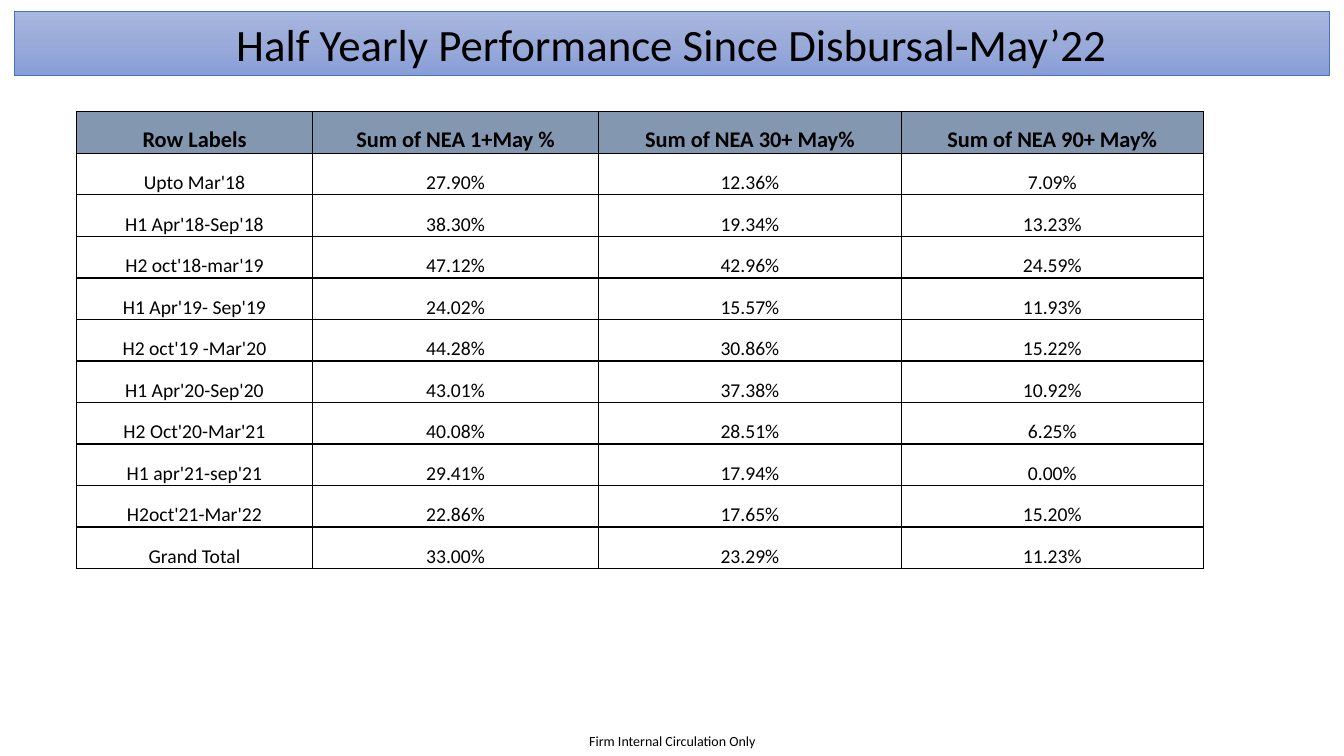
from copy import deepcopy
from dataclasses import dataclass

from lxml.etree import SubElement
from pptx import Presentation
from pptx.dml.color import RGBColor
from pptx.enum.shapes import MSO_SHAPE as Shape
from pptx.enum.text import MSO_ANCHOR as Anchor, MSO_AUTO_SIZE as AutoSize, PP_ALIGN as Align
from pptx.oxml.ns import qn
from pptx.table import _Cell as Cell
from pptx.text.text import TextFrame
from pptx.util import Inches, Pt

BLACK = RGBColor(0x00, 0x00, 0x00)
HEADER_BLUE = RGBColor(0x84, 0x97, 0xB0)
BANNER_EDGE = RGBColor(0x44, 0x72, 0xC4)
BANNER_TOP = RGBColor(0xA8, 0xB7, 0xDF)
BANNER_MIDDLE = RGBColor(0x9A, 0xAB, 0xD9)
BANNER_BOTTOM = RGBColor(0x88, 0x9E, 0xD7)

SLIDE_WIDTH = Inches(13.33)
SLIDE_HEIGHT = Inches(7.5)
FONT = "Calibri"


@dataclass(frozen=True)
class Area:
    left: float
    top: float
    width: float
    height: float

    def box(self) -> tuple[int, int, int, int]:
        return across(self.left), down(self.top), across(self.width), down(self.height)


@dataclass(frozen=True)
class Period:
    label: str
    nea_1: str
    nea_30: str
    nea_90: str

    def values(self) -> tuple[str, ...]:
        return self.label, self.nea_1, self.nea_30, self.nea_90


BANNER = Area(1.05, 1.47, 97.85, 8.53)
PERFORMANCE = Area(5.7, 14.8, 83.85, 60.4)
CIRCULATION = Area(42.75, 96.13, 14.55, 3.87)
COLUMN_SHARES = (17.55, 21.3, 22.5, 22.5)

HEADINGS = Period("Row Labels", "Sum of NEA 1+May %", "Sum of NEA 30+ May%", "Sum of NEA 90+ May%")
PERIODS = (
    Period("Upto Mar'18", "27.90%", "12.36%", "7.09%"),
    Period("H1 Apr'18-Sep'18", "38.30%", "19.34%", "13.23%"),
    Period("H2 oct'18-mar'19", "47.12%", "42.96%", "24.59%"),
    Period("H1 Apr'19- Sep'19", "24.02%", "15.57%", "11.93%"),
    Period("H2 oct'19 -Mar'20", "44.28%", "30.86%", "15.22%"),
    Period("H1 Apr'20-Sep'20", "43.01%", "37.38%", "10.92%"),
    Period("H2 Oct'20-Mar'21", "40.08%", "28.51%", "6.25%"),
    Period("H1 apr'21-sep'21", "29.41%", "17.94%", "0.00%"),
    Period("H2oct'21-Mar'22", "22.86%", "17.65%", "15.20%"),
    Period("Grand Total", "33.00%", "23.29%", "11.23%"),
)


def across(percent: float) -> int:
    return round(SLIDE_WIDTH * percent / 100)


def down(percent: float) -> int:
    return round(SLIDE_HEIGHT * percent / 100)


def write(frame: TextFrame, wording: str, size: int, bold: bool = False) -> None:
    frame.text = wording
    line = frame.paragraphs[0]
    line.alignment = Align.CENTER
    line.font.name = FONT
    line.font.size = Pt(size)
    line.font.bold = bold
    line.font.color.rgb = BLACK


def add_banner(slide, area: Area, title: str) -> None:
    banner = slide.shapes.add_shape(Shape.RECTANGLE, *area.box())
    banner.shadow.inherit = False
    banner.line.color.rgb = BANNER_EDGE
    banner.line.width = Pt(0.5)
    banner.fill.gradient()
    banner.fill.gradient_angle = 270
    stop_list = next(banner.element.spPr.iter(qn("a:gsLst")))
    stop_list.insert(1, deepcopy(stop_list[0]))
    tints = (BANNER_TOP, BANNER_MIDDLE, BANNER_BOTTOM)
    for index, (stop, tint) in enumerate(zip(banner.fill.gradient_stops, tints)):
        stop.position = index / 2
        stop.color.rgb = tint
    frame = banner.text_frame
    frame.word_wrap = True
    frame.auto_size = AutoSize.SHAPE_TO_FIT_TEXT
    frame.vertical_anchor = Anchor.MIDDLE
    write(frame, title, 32)


def add_borders(cell: Cell) -> None:
    properties = cell._tc.get_or_add_tcPr()
    for side in ("a:lnL", "a:lnR", "a:lnT", "a:lnB"):
        border = SubElement(properties, qn(side), w=str(Pt(1)))
        paint = SubElement(border, qn("a:solidFill"))
        SubElement(paint, qn("a:srgbClr"), val=str(BLACK))


def fill_cell(cell: Cell, wording: str, heading: bool) -> None:
    add_borders(cell)
    cell.margin_left = cell.margin_right = cell.margin_top = Inches(0.01)
    cell.margin_bottom = 0
    cell.vertical_anchor = Anchor.BOTTOM
    if heading:
        cell.fill.solid()
        cell.fill.fore_color.rgb = HEADER_BLUE
    else:
        cell.fill.background()
    write(cell.text_frame, wording, 16 if heading else 14, heading)


def add_performance(slide, area: Area) -> None:
    rows = (HEADINGS, *PERIODS)
    table = slide.shapes.add_table(len(rows), len(COLUMN_SHARES), *area.box()).table
    table.horz_banding = False
    for column, share in zip(table.columns, COLUMN_SHARES):
        column.width = across(share)
    for row_index, period in enumerate(rows):
        table.rows[row_index].height = down(area.height / len(rows))
        for column_index, wording in enumerate(period.values()):
            fill_cell(table.cell(row_index, column_index), wording, period is HEADINGS)


def add_circulation(slide, area: Area, notice: str) -> None:
    frame = slide.shapes.add_textbox(*area.box()).text_frame
    frame.word_wrap = True
    frame.auto_size = AutoSize.SHAPE_TO_FIT_TEXT
    frame.vertical_anchor = Anchor.MIDDLE
    frame.margin_left = frame.margin_right = frame.margin_top = frame.margin_bottom = 0
    write(frame, notice, 10)


def main() -> None:
    deck = Presentation()
    deck.slide_width = SLIDE_WIDTH
    deck.slide_height = SLIDE_HEIGHT
    slide = deck.slides.add_slide(deck.slide_layouts[6])
    add_circulation(slide, CIRCULATION, "Firm Internal Circulation Only")
    add_banner(slide, BANNER, "Half Yearly Performance Since Disbursal-May’22")
    add_performance(slide, PERFORMANCE)
    deck.save("out.pptx")


if __name__ == "__main__":
    main()
